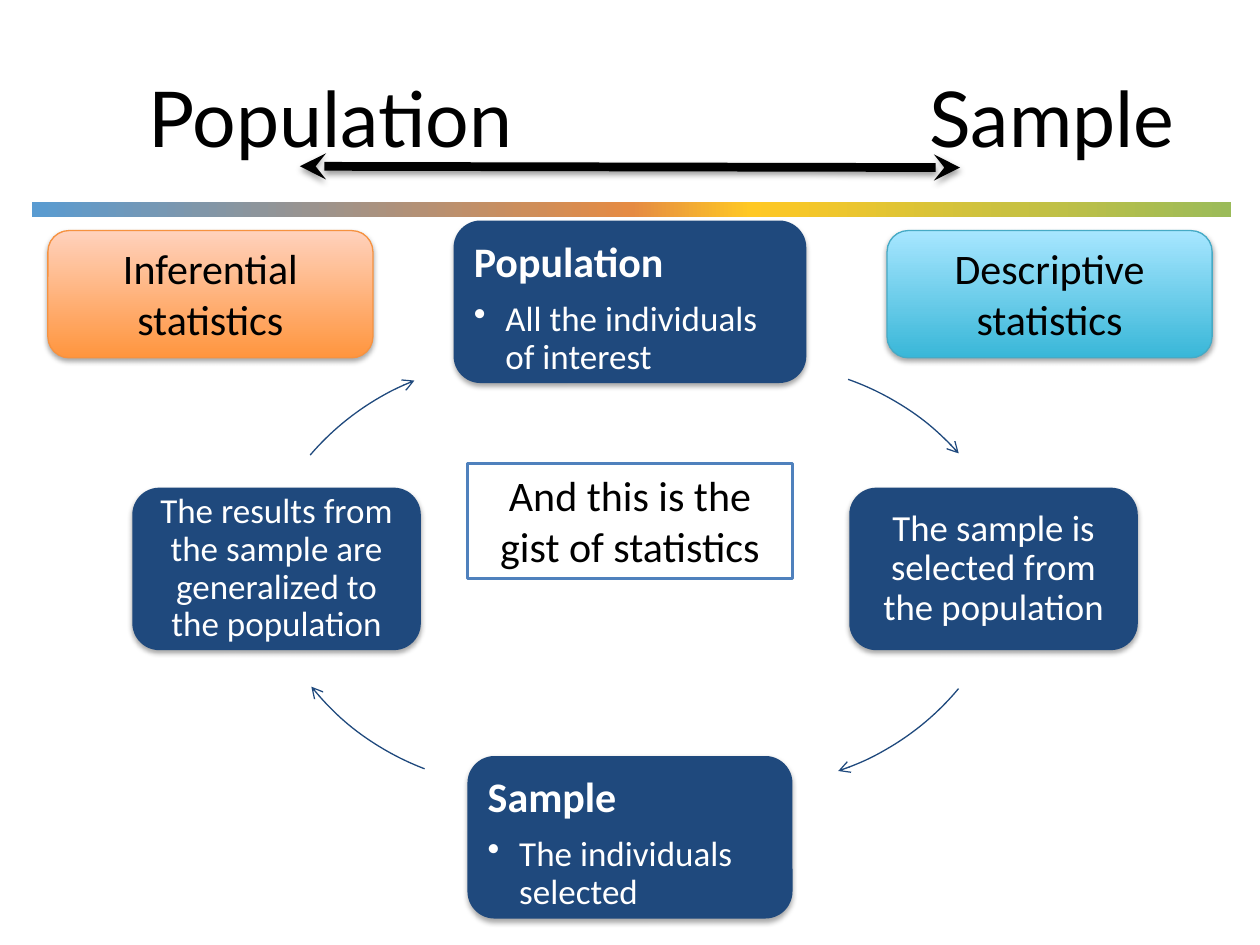
from lxml import etree
from pptx import Presentation, util as u
from pptx.dml.color import RGBColor
from pptx.enum import shapes, text
from pptx.oxml.ns import qn

NAVY, WHITE, BLACK = "1F497D", "FFFFFF", "000000"
TITLE = "Population\tSample"
BAR_STOPS = [(0, "599BD1"), (50, "E58B43"), (60, "FFC824"), (100, "9BBB59")]
CARD_HEIGHT = 1.29
# left, top, width, inset, heading, body, body size
CARDS = [
    (3.6, 1.75, 2.8, 0.1, "Population", "All the individuals of interest", 20),
    (6.74, 3.87, 2.29, 0.09, None, "The sample is selected from the population", 21),
    (3.71, 6, 2.58, 0.1, "Sample", "The individuals selected", 20),
    (1.05, 3.87, 2.29, 0.08, None,
     "The results from the sample are generalized to the population", 20),
]
ARC_SIZE = 4.25
# left, top, start angle, end angle (degrees, clockwise from the right)
ARCS = [
    (3.9, 2.89, 289.4, 318.2),
    (3.85, 1.98, 39.8, 71.4),
    (2, 1.99, 110.8, 141.1),
    (1.95, 2.87, 220.6, 248.3),
]
# left, text, line colour, gradient from bottom to top
BRANCHES = [
    (7.04, "Descriptive statistics", "46AAC5", [(0, "39B7D8"), (100, "A7E6FF")]),
    (0.38, "Inferential statistics", "F69240", [(0, "FF953E"), (100, "FFD2BD")]),
]


def color(value):
    return RGBColor.from_string(value)


def add_element(parent, tag, **attributes):
    element = etree.SubElement(parent, qn(tag))
    for name, value in attributes.items():
        element.set(name, str(value))
    return element


def add_shadow(effects, alpha, distance):
    shadow = add_element(effects, "a:outerShdw", blurRad=u.Pt(3.1), dist=u.Pt(distance),
                         dir=90 * 60000, rotWithShape=0)
    black = add_element(shadow, "a:srgbClr", val=BLACK)
    add_element(black, "a:alpha", val=alpha * 1000)


def add_box(slide, kind, box, fill=None, line=None, line_width=0.75, shadow=False):
    shape = slide.shapes.add_shape(kind, *map(u.Inches, box))
    shape.shadow.inherit = False
    if fill:
        shape.fill.solid()
        shape.fill.fore_color.rgb = color(fill)
    else:
        shape.fill.background()
    if line:
        shape.line.color.rgb = color(line)
        shape.line.width = u.Pt(line_width)
    else:
        shape.line.fill.background()
    if shadow:
        add_shadow(shape._element.spPr.find(qn("a:effectLst")), 35, 1.8)
    return shape


def set_gradient(shape, stops, angle):
    shape.fill.gradient()
    shape.fill.gradient_angle = angle
    stop_list = shape._element.spPr.find(qn("a:gradFill")).find(qn("a:gsLst"))
    for stop in list(stop_list):
        stop_list.remove(stop)
    for position, value in stops:
        stop = add_element(stop_list, "a:gs", pos=position * 1000)
        add_element(stop, "a:srgbClr", val=value)


def set_arrowhead(line, end, kind):
    add_element(line._get_or_add_ln(), f"a:{end}End", type=kind)


def style(paragraph, size, value, align, font="Calibri", bold=False):
    paragraph.alignment = align
    paragraph.font.name = font
    paragraph.font.size = u.Pt(size)
    paragraph.font.bold = bold
    paragraph.font.color.rgb = color(value)


def add_label(shape, words):
    frame = shape.text_frame
    frame.word_wrap = True
    frame.vertical_anchor = text.MSO_ANCHOR.TOP
    frame.text = words
    style(frame.paragraphs[0], 24, BLACK, text.PP_ALIGN.CENTER)


def add_title(slide):
    frame = slide.shapes.add_textbox(*map(u.Inches, (0.5, 0.3, 9, 1.25))).text_frame
    frame.word_wrap = True
    frame.vertical_anchor = text.MSO_ANCHOR.MIDDLE
    paragraph = frame.paragraphs[0]
    paragraph.text = TITLE
    properties = paragraph._p.get_or_add_pPr()
    properties.set("marL", str(u.Inches(0.58)))
    tabs = add_element(properties, "a:tabLst")
    add_element(tabs, "a:tab", pos=u.Inches(6.2), algn="l")
    style(paragraph, 44, BLACK, text.PP_ALIGN.LEFT, "Lato")


def add_card(slide, left, top, width, inset, heading, body, size):
    shape = add_box(slide, shapes.MSO_SHAPE.ROUNDED_RECTANGLE,
                    (left, top, width, CARD_HEIGHT), NAVY, shadow=True)
    frame = shape.text_frame
    frame.word_wrap = True
    frame.margin_left = frame.margin_right = u.Inches(inset)
    frame.margin_top = frame.margin_bottom = u.Inches(inset)
    paragraph = frame.paragraphs[0]
    if heading:
        frame.vertical_anchor = text.MSO_ANCHOR.TOP
        paragraph.text = heading
        paragraph.line_spacing = 0.9
        paragraph.space_after = u.Pt(8.4)
        style(paragraph, 24, WHITE, text.PP_ALIGN.LEFT, bold=True)
        paragraph = frame.add_paragraph()
        paragraph.level = 1
    else:
        frame.vertical_anchor = text.MSO_ANCHOR.MIDDLE
    paragraph.text = body
    paragraph.line_spacing = 0.9
    if heading:
        properties = paragraph._p.get_or_add_pPr()
        properties.set("marL", str(u.Inches(0.25)))
        properties.set("indent", str(u.Inches(-0.25)))
        add_element(properties, "a:buChar", char="•")
    style(paragraph, size, WHITE,
          text.PP_ALIGN.LEFT if heading else text.PP_ALIGN.CENTER)


def add_arc(slide, left, top, start, end):
    arc = add_box(slide, shapes.MSO_SHAPE.ARC, (left, top, ARC_SIZE, ARC_SIZE), line=NAVY)
    # Angles are stored in 60000ths of a degree, adjustments in 100000ths
    arc.adjustments[0] = start * 0.6
    arc.adjustments[1] = end * 0.6
    set_arrowhead(arc.line, "tail", "arrow")


def add_title_arrow(slide):
    arrow = slide.shapes.add_connector(
        shapes.MSO_CONNECTOR.STRAIGHT, *map(u.Inches, (2.38, 1.32, 7.62, 1.33)))
    arrow.line.color.rgb = color(BLACK)
    arrow.line.width = u.Pt(5)
    for end in ("head", "tail"):
        set_arrowhead(arrow.line, end, "stealth")
    add_shadow(add_element(arrow._element.spPr, "a:effectLst"), 38, 1.6)


def main():
    presentation = Presentation()
    presentation.slide_width = u.Inches(10)
    presentation.slide_height = u.Inches(7.5)
    slide = presentation.slides.add_slide(presentation.slide_layouts[6])

    bar = add_box(slide, shapes.MSO_SHAPE.RECTANGLE, (0.25, 1.6, 9.52, 0.12))
    set_gradient(bar, BAR_STOPS, 0)
    add_title(slide)
    for card in CARDS:
        add_card(slide, *card)
    for arc in ARCS:
        add_arc(slide, *arc)
    add_title_arrow(slide)

    gist = add_box(slide, shapes.MSO_SHAPE.RECTANGLE, (3.71, 3.68, 2.58, 0.91),
                   WHITE, "4F81BD", 2)
    add_label(gist, "And this is the gist of statistics")
    for left, words, line, stops in BRANCHES:
        branch = add_box(slide, shapes.MSO_SHAPE.ROUNDED_RECTANGLE,
                         (left, 1.83, 2.58, 1.01), line=line, shadow=True)
        set_gradient(branch, stops, 90)
        add_label(branch, words)

    presentation.save("out.pptx")


if __name__ == "__main__":
    main()
